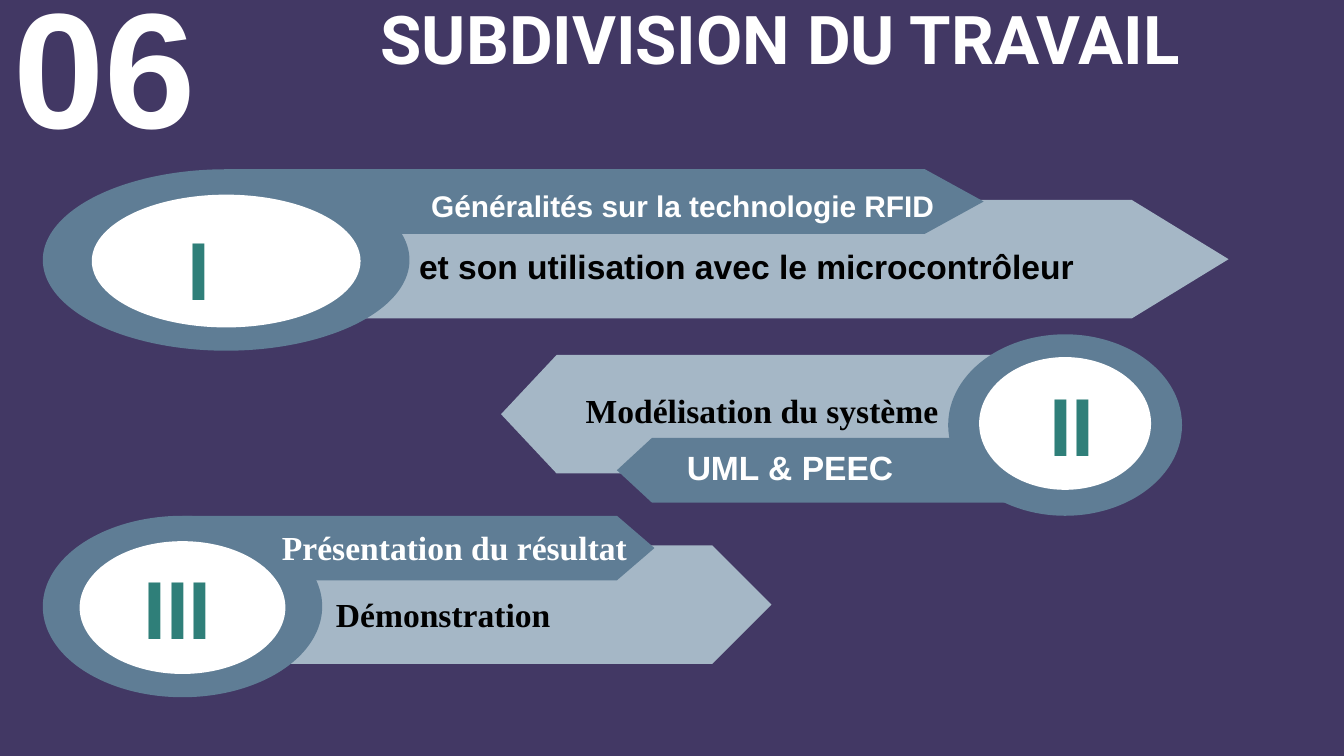
from pptx import Presentation
from pptx.dml.color import RGBColor
from pptx.enum.shapes import MSO_SHAPE as Shape
from pptx.enum.text import MSO_ANCHOR as Anchor, PP_ALIGN as Align
from pptx.util import Cm, Pt

PURPLE = RGBColor(0x42, 0x38, 0x64)
SLATE = RGBColor(0x5F, 0x7D, 0x95)
MIST = RGBColor(0xA5, 0xB7, 0xC6)
TEAL = RGBColor(0x2F, 0x7F, 0x79)
WHITE = RGBColor(0xFF, 0xFF, 0xFF)
BLACK = RGBColor(0x00, 0x00, 0x00)

SERIF = "Times New Roman"
LIGHT_HEIGHT, DARK_HEIGHT = 2.24, 1.22
RING_HEIGHT, DISC_HEIGHT = 3.43, 2.51

SECTIONS = [
    {
        "ring": (0.81, 3.2, 6.93), "disc_width": 5.08, "disc_drop": 0.48,
        "light": (5, 21.39, 23.22, 3.78), "dark": (17.48, 18.59, 3.2),
        "number": ("I", 3.3, 4.01, 1.65),
        "labels": [
            ("Généralités sur la technologie RFID", 7.9, 3.43, 10.8, 16, "Arial", WHITE),
            ("et son utilisation avec le microcontrôleur", 7.67, 4.52, 14.38, 18, "Arial", BLACK),
        ],
    },
    {
        "ring": (17.92, 6.32, 4.42), "disc_width": 3.25, "disc_drop": 0.43,
        "light": (19.91, 10.52, 9.47, 6.71), "dark": (12.32, 11.66, 8.28),
        "number": ("II", 19.58, 6.96, 1.65),
        "labels": [
            ("Modélisation du système", 10.82, 7.24, 7.42, 18, SERIF, BLACK),
            ("UML & PEEC", 12.73, 8.33, 5.41, 18, "Arial", WHITE),
        ],
    },
    {
        "ring": (0.81, 9.75, 5.28), "disc_width": 3.89, "disc_drop": 0.48,
        "light": (3.71, 13.46, 14.58, 10.31), "dark": (11.66, 12.37, 9.75),
        "number": ("III", 2.46, 10.41, 2.67),
        "labels": [
            ("Présentation du résultat", 5.08, 9.83, 7.85, 18, SERIF, WHITE),
            ("Démonstration", 6.1, 11.1, 4.6, 18, SERIF, BLACK),
        ],
    },
]


def paint(shape, color):
    shape.shadow.inherit = False
    shape.fill.solid()
    shape.fill.fore_color.rgb = color
    shape.line.fill.background()


def add_arrow(slide, start, shoulder, tip, top, height, color):
    points = [
        (start, top + height),
        (shoulder, top + height),
        (tip, top + height / 2),
        (shoulder, top),
    ]
    builder = slide.shapes.build_freeform(Cm(start), Cm(top), scale=1.0)
    builder.add_line_segments([(Cm(x), Cm(y)) for x, y in points], close=True)
    paint(builder.convert_to_shape(), color)


def add_oval(slide, left, top, width, height, color):
    oval = slide.shapes.add_shape(Shape.OVAL, Cm(left), Cm(top), Cm(width), Cm(height))
    paint(oval, color)


def add_text(slide, text, left, top, width, height=1.02, *, size=18, font="Arial",
             color=WHITE, align=Align.LEFT, anchor=Anchor.TOP):
    box = slide.shapes.add_textbox(Cm(left), Cm(top), Cm(width), Cm(height))
    frame = box.text_frame
    frame.word_wrap = True
    frame.vertical_anchor = anchor
    paragraph = frame.paragraphs[0]
    paragraph.alignment = align
    run = paragraph.add_run()
    run.text = text
    run.font.size = Pt(size)
    run.font.name = font
    run.font.bold = True
    run.font.color.rgb = color


def add_section(slide, section):
    left, top, width = section["ring"]
    disc_width = section["disc_width"]
    center = left + width / 2
    add_arrow(slide, *section["light"], LIGHT_HEIGHT, MIST)
    add_arrow(slide, center, *section["dark"], DARK_HEIGHT, SLATE)
    add_oval(slide, left, top, width, RING_HEIGHT, SLATE)
    add_oval(slide, center - disc_width / 2, top + section["disc_drop"],
             disc_width, DISC_HEIGHT, WHITE)
    for text, x, y, label_width, size, font, color in section["labels"]:
        add_text(slide, text, x, y, label_width, size=size, font=font, color=color)
    add_text(slide, *section["number"], 2.13, size=44, color=TEAL)


def main():
    presentation = Presentation()
    presentation.slide_width = Cm(25.4)
    presentation.slide_height = Cm(14.29)
    slide = presentation.slides.add_slide(presentation.slide_layouts[6])
    slide.background.fill.solid()
    slide.background.fill.fore_color.rgb = PURPLE

    add_text(slide, "SUBDIVISION DU TRAVAIL", 5.72, -0.79, 18.06, 3.02, size=36,
             font="Roboto", align=Align.CENTER, anchor=Anchor.MIDDLE)
    add_text(slide, "06", 0, -0.79, 4.32, 4.01, size=88)
    for section in SECTIONS:
        add_section(slide, section)
    presentation.save("out.pptx")


if __name__ == "__main__":
    main()
